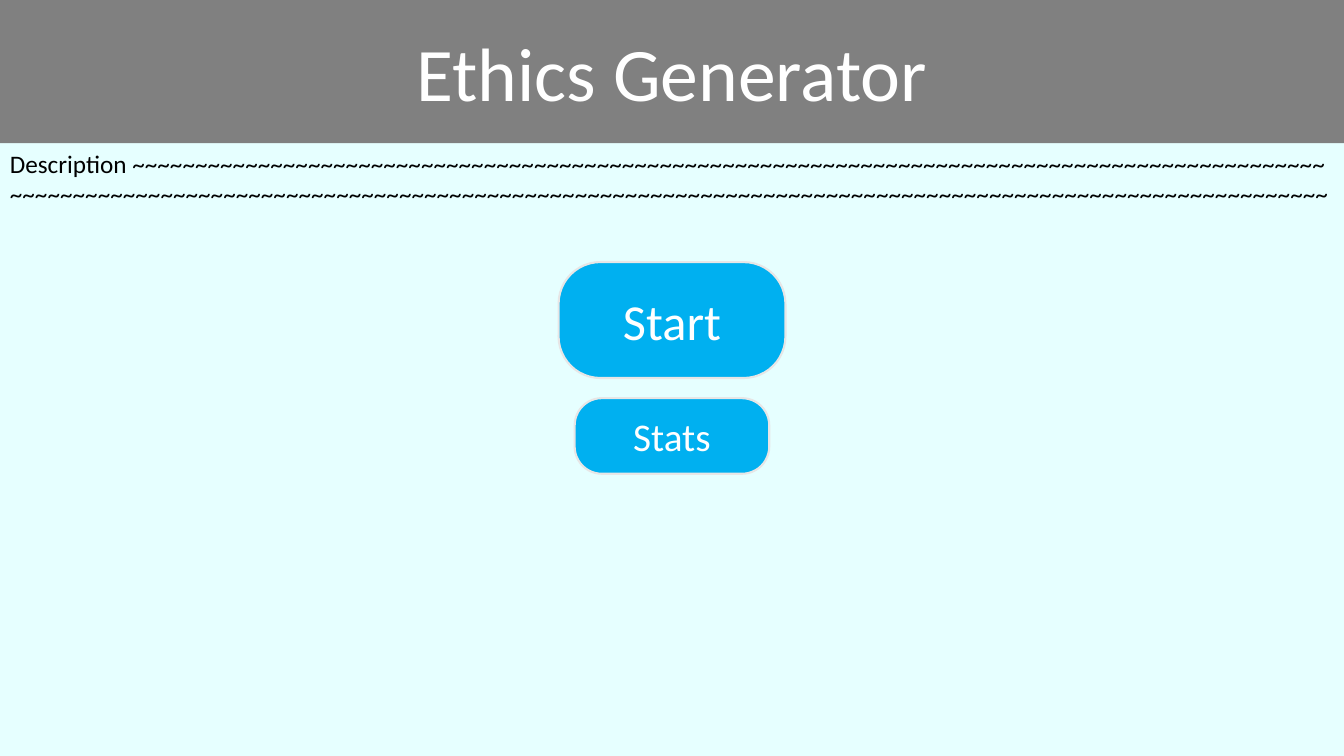
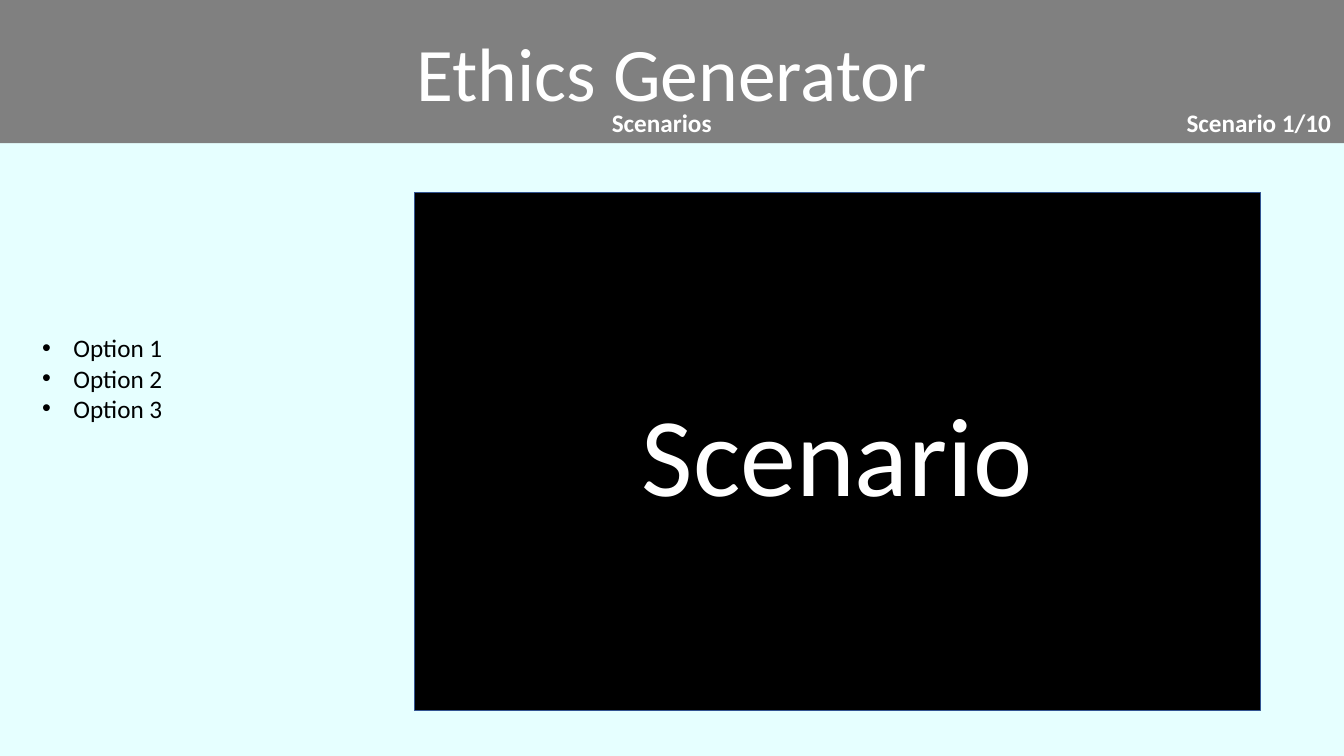
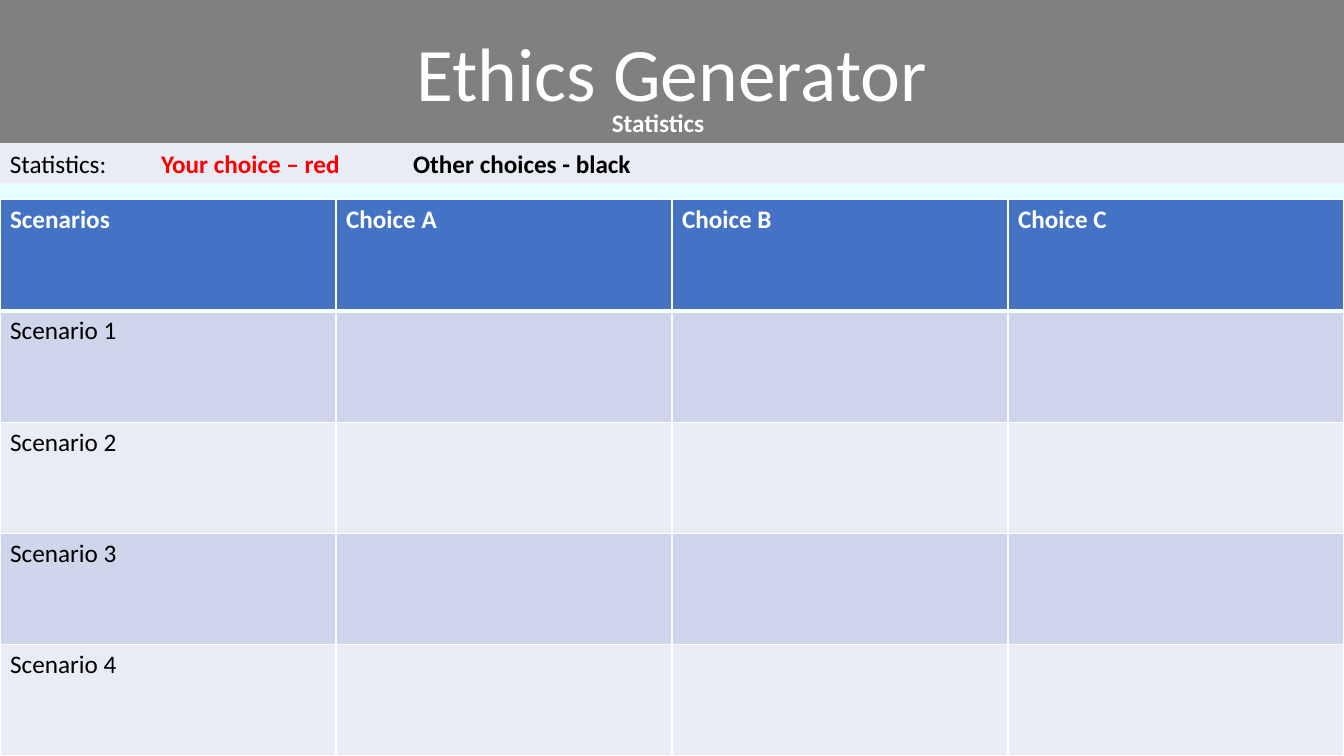
from lxml.etree import SubElement
from pptx import Presentation
from pptx.dml.color import RGBColor
from pptx.enum.shapes import MSO_SHAPE
from pptx.enum.text import MSO_ANCHOR, MSO_AUTO_SIZE, PP_ALIGN
from pptx.oxml.ns import qn
from pptx.util import Inches, Pt

WHITE = RGBColor(0xFF, 0xFF, 0xFF)
BLACK = RGBColor(0x00, 0x00, 0x00)
RED = RGBColor(0xFF, 0x00, 0x00)
GRAY = RGBColor(0x80, 0x80, 0x80)
PALE_CYAN = RGBColor(0xE6, 0xFF, 0xFF)
SKY = RGBColor(0x00, 0xB0, 0xF0)
SILVER = RGBColor(0xE7, 0xE6, 0xE6)
NAVY = RGBColor(0x32, 0x54, 0x91)
HEADER_BLUE = RGBColor(0x44, 0x72, 0xC4)
BANDS = (RGBColor(0xE9, 0xEB, 0xF5), RGBColor(0xCF, 0xD5, 0xEA))

FONT = "Calibri"
SLIDE_W, SLIDE_H = 13.33, 7.5
BAND_H = 1.42
LABEL_H = 0.4


def add_run(p, text, color=BLACK, **formats):
    """Add a run with the deck font and the given format values."""
    r = p.add_run()
    r.text = text
    for name, value in {"name": FONT, "size": Pt(18), "bold": False, **formats}.items():
        setattr(r.font, name, value)
    r.font.color.rgb = color


def add_text(slide, box, lines, color=BLACK, bullets=False, **formats):
    """Add a text box with one paragraph for each line."""
    tf = slide.shapes.add_textbox(*map(Inches, box)).text_frame
    tf.word_wrap = True
    for i, line in enumerate(lines):
        p = tf.add_paragraph() if i else tf.paragraphs[0]
        add_run(p, line, color, **formats)
        if bullets:
            add_bullet(p)


def add_bullet(p):
    """Give a paragraph a hanging round bullet."""
    pPr = p._p.get_or_add_pPr()
    pPr.set("marL", str(Inches(0.31)))
    pPr.set("indent", str(Inches(-0.31)))
    SubElement(pPr, qn("a:buFont"), typeface="Arial")
    SubElement(pPr, qn("a:buChar"), char="\u2022")


def add_box(slide, kind, box, fill, line=None, width=1):
    """Add a filled preset shape and return it."""
    sp = slide.shapes.add_shape(kind, *map(Inches, box))
    sp.shadow.inherit = False
    sp.fill.solid()
    sp.fill.fore_color.rgb = fill
    if line is None:
        sp.line.fill.background()
    else:
        sp.line.color.rgb = line
        sp.line.width = Pt(width)
    return sp


def center_text(sp, text, size):
    """Write white text in the middle of a shape."""
    tf = sp.text_frame
    tf.vertical_anchor = MSO_ANCHOR.MIDDLE
    p = tf.paragraphs[0]
    p.alignment = PP_ALIGN.CENTER
    add_run(p, text, WHITE, size=Pt(size))


def add_button(slide, top, width, height, text, size):
    """Add a rounded button centred across the slide."""
    box = ((SLIDE_W - width) / 2, top, width, height)
    sp = add_box(slide, MSO_SHAPE.ROUNDED_RECTANGLE, box, SKY, SILVER, 1.5)
    sp.adjustments[0] = 0.36
    center_text(sp, text, size)


def add_band_label(slide, left, width, text):
    """Add a bold label at the foot of the title band."""
    box = (left, BAND_H - LABEL_H, width, LABEL_H)
    add_text(slide, box, [text], WHITE, bold=True)


def add_page(prs, section=None):
    """Add a slide with the title band and an optional section label."""
    slide = prs.slides.add_slide(prs.slide_layouts[5])
    slide.background.fill.solid()
    slide.background.fill.fore_color.rgb = PALE_CYAN
    title = slide.shapes.title
    place = {"left": 0, "top": 0, "width": SLIDE_W, "height": BAND_H}
    for name, value in place.items():
        setattr(title, name, Inches(value))
    title.fill.solid()
    title.fill.fore_color.rgb = GRAY
    title.text_frame.auto_size = MSO_AUTO_SIZE.NONE
    center_text(title, "Ethics Generator", 54)
    if section:
        add_band_label(slide, 5.97, 1.2, section)
    return slide


def set_borders(cell, **widths):
    """Draw white cell borders, 1 point unless a side says otherwise."""
    tcPr = cell._tc.get_or_add_tcPr()
    for side in "LRTB":
        ln = SubElement(tcPr, qn(f"a:ln{side}"), w=str(Pt(widths.get(side, 1))))
        fill = SubElement(ln, qn("a:solidFill"))
        SubElement(fill, qn("a:srgbClr"), val=str(WHITE))


def add_choice_table(slide, headers, names):
    """Add the table with a header row and one banded row for each name."""
    top = 1.98
    rows = [headers] + [[name] + [""] * (len(headers) - 1) for name in names]
    box = (0, top, SLIDE_W, SLIDE_H - top)
    table = slide.shapes.add_table(len(rows), len(headers), *map(Inches, box)).table
    for i, row in enumerate(rows):
        for j, text in enumerate(row):
            cell = table.cell(i, j)
            set_borders(cell, **{0: {"B": 3}, 1: {"T": 3}}.get(i, {}))
            cell.fill.solid()
            cell.fill.fore_color.rgb = BANDS[i % 2] if i else HEADER_BLUE
            if text:
                add_run(cell.text_frame.paragraphs[0], text,
                        BLACK if i else WHITE, bold=i == 0)


def add_legend(slide):
    """Add the strip that explains the text colours."""
    box = (0, BAND_H, SLIDE_W, LABEL_H)
    sp = add_box(slide, MSO_SHAPE.RECTANGLE, box, BANDS[0])
    sp.text_frame.vertical_anchor = MSO_ANCHOR.TOP
    p = sp.text_frame.paragraphs[0]
    p.alignment = PP_ALIGN.LEFT
    add_run(p, "Statistics: \t")
    add_run(p, "Your choice \u2013 red\t\t", RED, bold=True)
    add_run(p, "Other choices - black", bold=True)


def add_start_page(prs):
    """Build the start page."""
    slide = add_page(prs)
    add_text(slide, (0, BAND_H, SLIDE_W, 0.71),
             ["Description " + "~" * 95, "~" * 105])
    add_button(slide, 2.6, 2.25, 1.15, "Start", 36)
    add_button(slide, 3.95, 1.93, 0.75, "Stats", 28)


def add_scenario_page(prs):
    """Build the scenario page."""
    slide = add_page(prs, "Scenarios")
    add_band_label(slide, 11.67, 1.66, "Scenario 1/10")
    scene = add_box(slide, MSO_SHAPE.RECTANGLE, (4.11, 1.91, 8.39, 5.14), BLACK, NAVY)
    center_text(scene, "Scenario", 80)
    options = [f"Option {n}" for n in range(1, 4)]
    add_text(slide, (0.32, 3.25, 3.25, 1.01), options, bullets=True)


def add_statistics_page(prs):
    """Build the statistics page."""
    slide = add_page(prs, "Statistics")
    add_choice_table(slide, ["Scenarios", "Choice A", "Choice B", "Choice C"],
                     [f"Scenario {n}" for n in range(1, 5)])
    add_legend(slide)


def main():
    """Build and save the deck."""
    prs = Presentation()
    prs.slide_width, prs.slide_height = Inches(SLIDE_W), Inches(SLIDE_H)
    add_start_page(prs)
    add_scenario_page(prs)
    add_statistics_page(prs)
    prs.save("out.pptx")


main()
